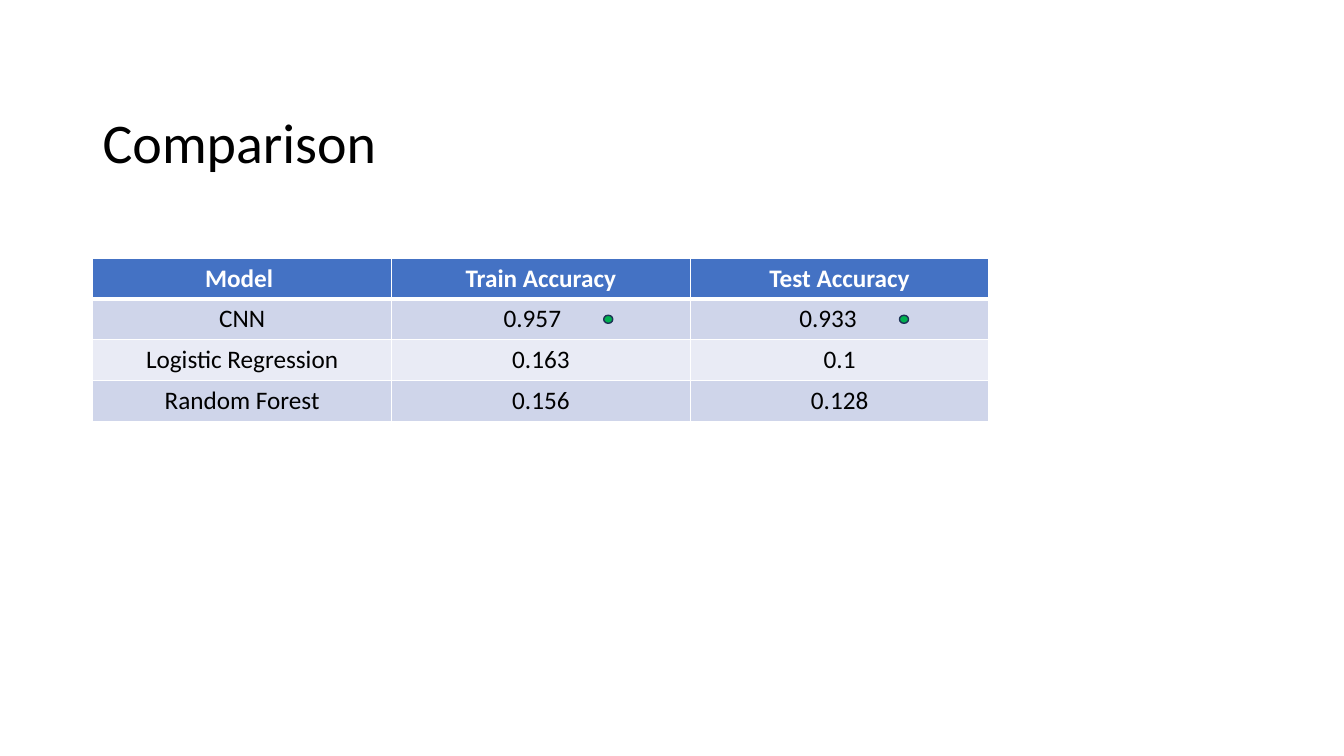
from lxml import etree
from pptx import Presentation, util as u
from pptx.dml.color import RGBColor
from pptx.enum import shapes, text
from pptx.oxml import ns

WHITE = RGBColor(0xFF, 0xFF, 0xFF)
BLACK = RGBColor(0, 0, 0)
HEADER_BLUE = RGBColor(0x44, 0x72, 0xC4)
BAND_DARK = RGBColor(0xCF, 0xD5, 0xEA)
BAND_LIGHT = RGBColor(0xE9, 0xEB, 0xF5)
MARK_GREEN = RGBColor(0x00, 0xB0, 0x50)
MARK_OUTLINE = RGBColor(0x1E, 0x32, 0x56)
FONT = "Calibri"

ROWS = [
    ("Model", "Train Accuracy", "Test Accuracy"),
    ("CNN", "0.957", "0.933"),
    ("Logistic Regression", "0.163", "0.1"),
    ("Random Forest", "0.156", "0.128"),
]
BEST_ROW = 1
# Extra right margin, in inches, by (row, column)
RIGHT_INSETS = {(0, 0): 0.06, (BEST_ROW, 1): 0.17, (BEST_ROW, 2): 0.23}
# Left edge of each mark as a share of its column
MARK_SHARES = {1: 0.71, 2: 0.7}


def style_font(font, size, color, bold=False):
    font.name = FONT
    font.size = u.Pt(size)
    font.color.rgb = color
    font.bold = bold


def add_title(slide, left, top, width, height):
    box = slide.shapes.add_textbox(left, top, width, height)
    frame = box.text_frame
    frame.word_wrap = True
    frame.vertical_anchor = text.MSO_ANCHOR.MIDDLE
    paragraph = frame.paragraphs[0]
    paragraph.text = "Comparison"
    paragraph.line_spacing = 0.9
    style_font(paragraph.font, 40, BLACK)


def set_borders(cell, is_header):
    """Draw white cell borders, thicker under the header."""
    properties = cell._tc.get_or_add_tcPr()
    for index, side in enumerate("LRTB"):
        points = 3 if is_header and side == "B" else 1
        line = etree.Element(ns.qn(f"a:ln{side}"), w=str(u.Pt(points)))
        fill = etree.SubElement(line, ns.qn("a:solidFill"))
        etree.SubElement(fill, ns.qn("a:srgbClr"), val=str(WHITE))
        properties.insert(index, line)


def add_mark(slide, left, center):
    width, height = u.Inches(0.09), u.Inches(0.08)
    mark = slide.shapes.add_shape(
        shapes.MSO_SHAPE.FLOWCHART_CONNECTOR, left, center - height // 2, width, height)
    mark.shadow.inherit = False
    mark.fill.solid()
    mark.fill.fore_color.rgb = MARK_GREEN
    mark.line.color.rgb = MARK_OUTLINE
    mark.line.width = u.Pt(1)


def add_accuracy_table(slide, left, top, width, height):
    """Place the accuracy table and mark the best model's scores."""
    table = slide.shapes.add_table(
        len(ROWS), len(ROWS[0]), left, top, width, height).table
    for row, values in enumerate(ROWS):
        is_header = row == 0
        band = HEADER_BLUE if is_header else BAND_DARK if row % 2 else BAND_LIGHT
        for column, value in enumerate(values):
            cell = table.cell(row, column)
            cell.fill.solid()
            cell.fill.fore_color.rgb = band
            cell.margin_right = u.Inches(0.1 + RIGHT_INSETS.get((row, column), 0))
            set_borders(cell, is_header)
            paragraph = cell.text_frame.paragraphs[0]
            paragraph.text = value
            paragraph.alignment = text.PP_ALIGN.CENTER
            style_font(paragraph.font, 18, WHITE if is_header else BLACK, is_header)

    column_width = width / len(ROWS[0])
    row_height = height / len(ROWS)
    center = int(top + (BEST_ROW + 0.5) * row_height)
    for column, share in MARK_SHARES.items():
        add_mark(slide, int(left + (column + share) * column_width), center)


def main():
    presentation = Presentation()
    presentation.slide_width = u.Inches(13.33)
    presentation.slide_height = u.Inches(7.5)
    slide = presentation.slides.add_slide(presentation.slide_layouts[6])
    left = u.Inches(0.92)
    add_title(slide, left, u.Inches(0.4), u.Inches(4.18), u.Inches(2.08))
    add_accuracy_table(slide, left, u.Inches(2.56), u.Inches(8.89), u.Inches(1.62))
    presentation.save("out.pptx")


if __name__ == "__main__":
    main()
